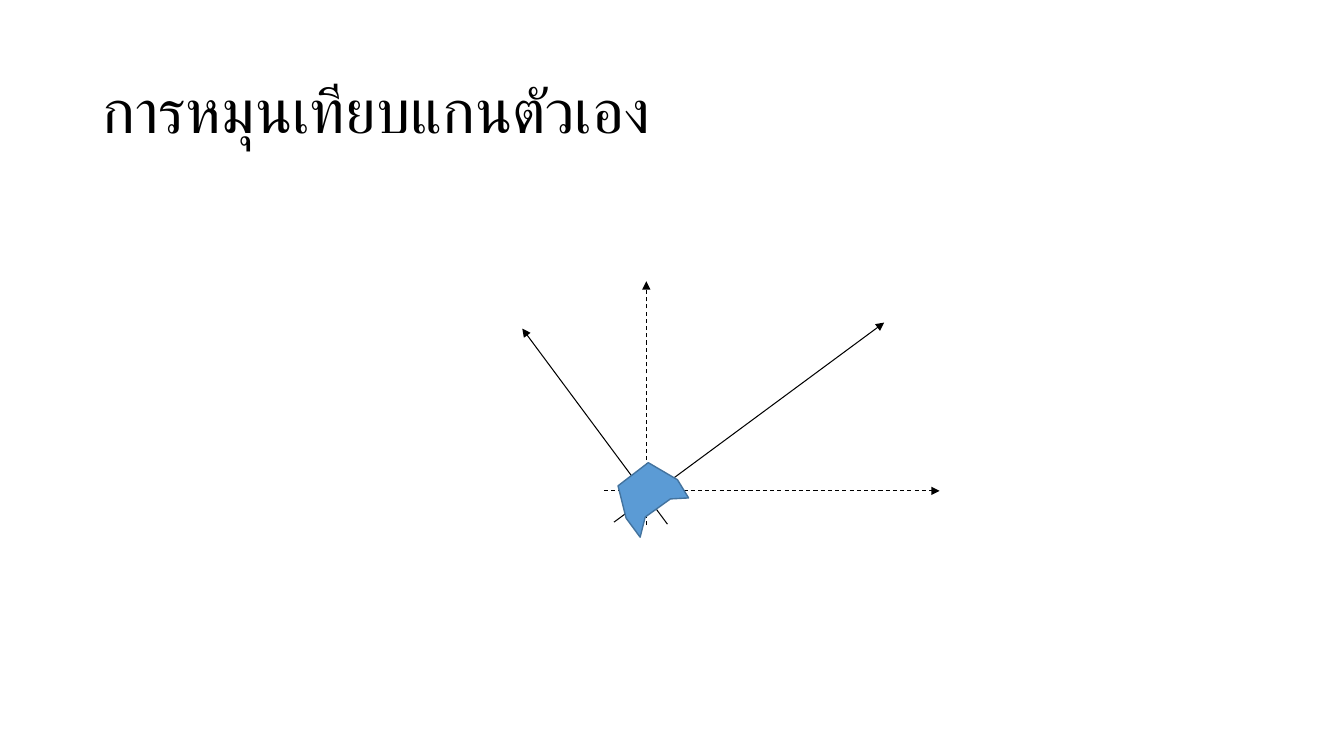
from lxml import etree
from pptx import Presentation
from pptx.dml.color import RGBColor
from pptx.enum.dml import MSO_LINE
from pptx.enum.shapes import MSO_CONNECTOR
from pptx.enum.text import MSO_ANCHOR
from pptx.oxml.ns import qn
from pptx.util import Inches, Pt

FIXED_AXES = [((-0.42, 0), (2.91, 0)), ((0, 0.34), (0, -2.08))]
ROTATED_AXES = [((-0.32, 0.31), (2.36, -1.67)), ((0.21, 0.33), (-1.23, -1.61))]
BODY_OUTLINE = [(-0.2, 0.27), (-0.06, 0.46), (-0.01, 0.26), (0.24, 0.08),
                (0.42, 0.07), (0.31, -0.11), (0.02, -0.28), (-0.28, -0.05)]


def color(value):
    return RGBColor.from_string(value)


def set_attributes(target, values):
    for name, value in values.items():
        setattr(target, name, value)


def add_title(slide, left, top, width, height, text):
    shape = slide.shapes.add_textbox(Inches(left), Inches(top), Inches(width), Inches(height))
    set_attributes(shape.text_frame, {"word_wrap": True, "vertical_anchor": MSO_ANCHOR.MIDDLE})
    paragraph = shape.text_frame.paragraphs[0]
    paragraph.line_spacing = 0.9
    run = paragraph.add_run()
    run.text = text
    set_attributes(run.font, {"name": "Calibri", "size": Pt(44)})
    run.font.color.rgb = color("000000")


def add_axes(shapes, left, top, axes, dash=None):
    for start, end in axes:
        ends = [Inches(base + offset) for point in (start, end)
                for base, offset in zip((left, top), point)]
        connector = shapes.add_connector(MSO_CONNECTOR.STRAIGHT, *ends)
        set_attributes(connector.line, {"width": Pt(0.75), "dash_style": dash})
        connector.line.color.rgb = color("000000")
        line = connector.line.fill._xPr
        etree.SubElement(line, qn("a:tailEnd"), type="triangle")
        etree.SubElement(line.getparent(), qn("a:effectLst"))


def add_body(shapes, left, top):
    points = [(Inches(left + x), Inches(top + y)) for x, y in BODY_OUTLINE]
    builder = shapes.build_freeform(*points[0])
    builder.add_line_segments(points[1:], close=True)
    shape = builder.convert_to_shape()
    shape.shadow.inherit = False
    shape.fill.solid()
    shape.fill.fore_color.rgb = color("5B9BD5")
    shape.line.color.rgb = color("43739E")
    shape.line.width = Pt(1)


def add_rotated_body(slide, left, top):
    group = slide.shapes.add_group_shape()
    add_axes(group.shapes, left, top, ROTATED_AXES)
    add_body(group.shapes, left, top)


def main():
    presentation = Presentation()
    set_attributes(presentation, {"slide_width": Inches(13.33), "slide_height": Inches(7.5)})
    slide = presentation.slides.add_slide(presentation.slide_layouts[6])
    center = (6.41, 4.87)
    add_axes(slide.shapes, *center, FIXED_AXES, MSO_LINE.DASH)
    add_title(slide, 0.92, 0.4, 11.5, 1.45, "การหมุนเทียบแกนตัวเอง")
    add_rotated_body(slide, *center)
    presentation.save("out.pptx")


if __name__ == "__main__":
    main()
